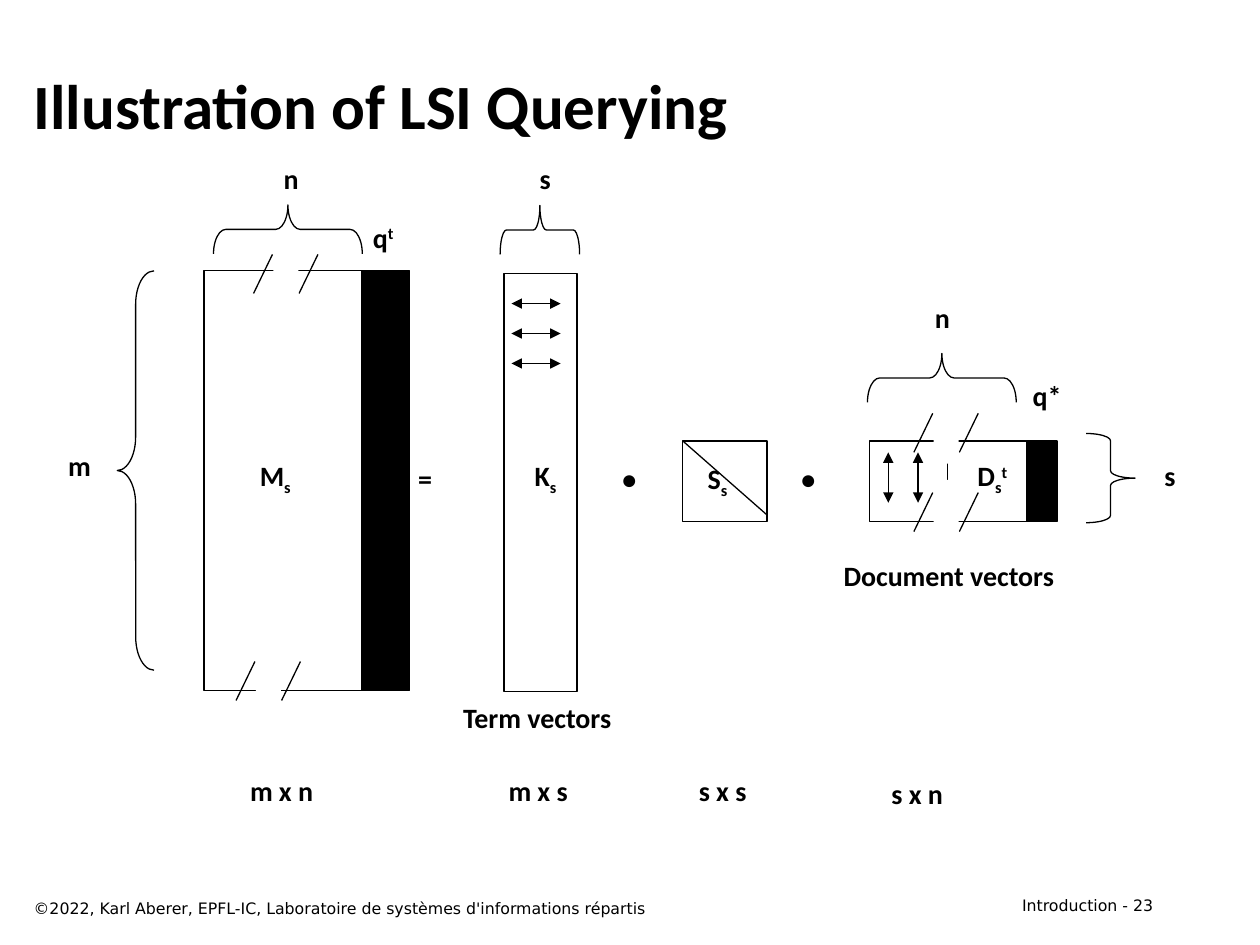
from lxml import etree
from pptx import Presentation
from pptx.dml.color import RGBColor
from pptx.enum import shapes, text
from pptx.oxml.ns import qn
from pptx.util import Pt

THEME = {
    "ink": RGBColor(0, 0, 0), "paper": RGBColor(255, 255, 255),
    "font": "Calibri", "small": "DejaVu Sans",
    "title": 36, "label": 16, "foot": 9, "line": 0.75,
}
LEFT, MID, RIGHT = text.PP_ALIGN.LEFT, text.PP_ALIGN.CENTER, text.PP_ALIGN.RIGHT

# Matrices: left, top, width, height, fill
BOXES = [
    (116.6, 154.8, 90.7, 239.8, None),
    (288, 156.2, 41.8, 239, None),
    (390.2, 252, 48.2, 46, None),
    (496.8, 252, 90, 46, None),
    (206.6, 154.8, 27.4, 239.8, "ink"),
    (586.8, 252, 17.3, 46, "ink"),
]
# Braces: left, top, width, height, turn, curl
BRACES = [
    (150.5, 88.6, 28, 85, 90, 0.25),
    (67, 154.8, 21, 228.2, 0, 0.91),
    (294.5, 108.7, 28, 45.4, 90, 0.13),
    (524.2, 173.5, 28, 85, 90, 0.25),
    (620.6, 247.7, 28, 51, 180, 0.15),
]
# Labels: left, top, width, text; _ lowers and ^ raises the next letter
LABELS = [
    (348.5, 260, 22.3, "•"), (450.7, 260, 22.3, "•"), (231.8, 260, 22.3, "="),
    (140.4, 258.5, 33.8, "M_s"), (298, 258.5, 27.4, "K_s"),
    (396.7, 260, 26.6, "S_s"), (550.8, 258.5, 32.4, "D_s^t"),
    (205.2, 122.4, 27.4, "q^t"), (582.5, 213, 31.7, "q*"),
    (154.8, 88.6, 23, "n"), (301, 88.6, 21, "s"), (31.7, 252.7, 27.4, "m"),
    (527, 168.5, 23, "n"), (658, 258.5, 21, "s"),
    (257, 396.7, 100, "Term vectors"), (473.8, 315.4, 136.8, "Document vectors"),
    (135.4, 438.5, 51, "m x n"), (283, 438.5, 49, "m x s"),
    (391.7, 438.5, 42.5, "s x s"), (501.8, 440, 44.6, "s x n"),
]
# Left and top of each gap in a matrix edge
GAPS = [(146.2, 370.8), (156.2, 138.2), (533.5, 229), (533.5, 274.3)]
SHIFT = {"_": -25000, "^": 30000}

deck = Presentation()
deck.slide_width, deck.slide_height = Pt(720), Pt(540)
slide = deck.slides.add_slide(deck.slide_layouts[6])
parts = slide.shapes


def shape(kind, x, y, w, h, fill=None, edge=True):
    item = parts.add_shape(kind, Pt(x), Pt(y), Pt(w), Pt(h))
    item.shadow.inherit = False
    if fill:
        item.fill.solid()
        item.fill.fore_color.rgb = THEME[fill]
    else:
        item.fill.background()
    if edge:
        item.line.color.rgb = THEME["ink"]
        item.line.width = Pt(THEME["line"])
    else:
        item.line.fill.background()
    return item


def line(x1, y1, x2, y2, heads=False):
    item = parts.add_connector(shapes.MSO_CONNECTOR.STRAIGHT,
                               Pt(x1), Pt(y1), Pt(x2), Pt(y2))
    item.line.color.rgb = THEME["ink"]
    item.line.width = Pt(THEME["line"])
    if heads:
        for end in ("a:headEnd", "a:tailEnd"):
            etree.SubElement(item.line._get_or_add_ln(), qn(end), type="triangle")
    etree.SubElement(item._element.spPr, qn("a:effectLst"))


def write(x, y, w, h, words, size, font="font", align=LEFT, bold=True, wrap=True):
    frame = parts.add_textbox(Pt(x), Pt(y), Pt(w), Pt(h)).text_frame
    frame.word_wrap = wrap
    para = frame.paragraphs[0]
    para.alignment = align
    base = None
    for bit in words.replace("_", "|_").replace("^", "|^").split("|"):
        base = SHIFT.get(bit[0])
        run = para.add_run()
        run.text = bit[1:] if base else bit
        run.font.size, run.font.bold = Pt(THEME[size]), bold
        run.font.name = THEME[font]
        run.font.color.rgb = THEME["ink"]
        if base:
            run.font._element.set("baseline", str(base))
    return frame


# Title and footer
head = write(12.2, 23.8, 653.8, 72, "Illustration of LSI Querying", "title")
head.vertical_anchor = text.MSO_ANCHOR.MIDDLE
write(516.2, 508.3, 149.8, 18, "Introduction - 23", "foot", "small", RIGHT, False)
write(12.2, 509.8, 462.2, 18,
      "©2022, Karl Aberer, EPFL-IC, Laboratoire de systèmes d'informations répartis",
      "foot", "small", bold=False)

# Matrices and braces
for x, y, w, h, fill in BOXES:
    shape(shapes.MSO_SHAPE.RECTANGLE, x, y, w, h, fill)
for x, y, w, h, turn, curl in BRACES:
    brace = shape(shapes.MSO_SHAPE.LEFT_BRACE, x, y, w, h)
    brace.rotation = turn
    brace.adjustments[0] = curl

# Labels
for x, y, w, words in LABELS:
    frame = write(x, y, w, 26.6, words, "label", align=MID, wrap=False)
    frame.auto_size = text.MSO_AUTO_SIZE.SHAPE_TO_FIT_TEXT

# Diagonal of S, then term and document vectors
line(390.2, 252, 438, 294)
for i in range(3):
    y, x = 173.5 + 17.1 * i, 507.6 + 17 * i
    line(320.4, y, 292.3, y, True)
    line(x, 258.5, x, 287.3, True)

# Breaks in the edges: two slashes around a blank gap
for x, y in GAPS:
    for step in (0, 26):
        line(x - 0.5 + step, y + 7.2, x - 11.3 + step, y + 29.5)
    shape(shapes.MSO_SHAPE.RECTANGLE, x, y, 14.4, 36, "paper", False)

deck.save("out.pptx")
